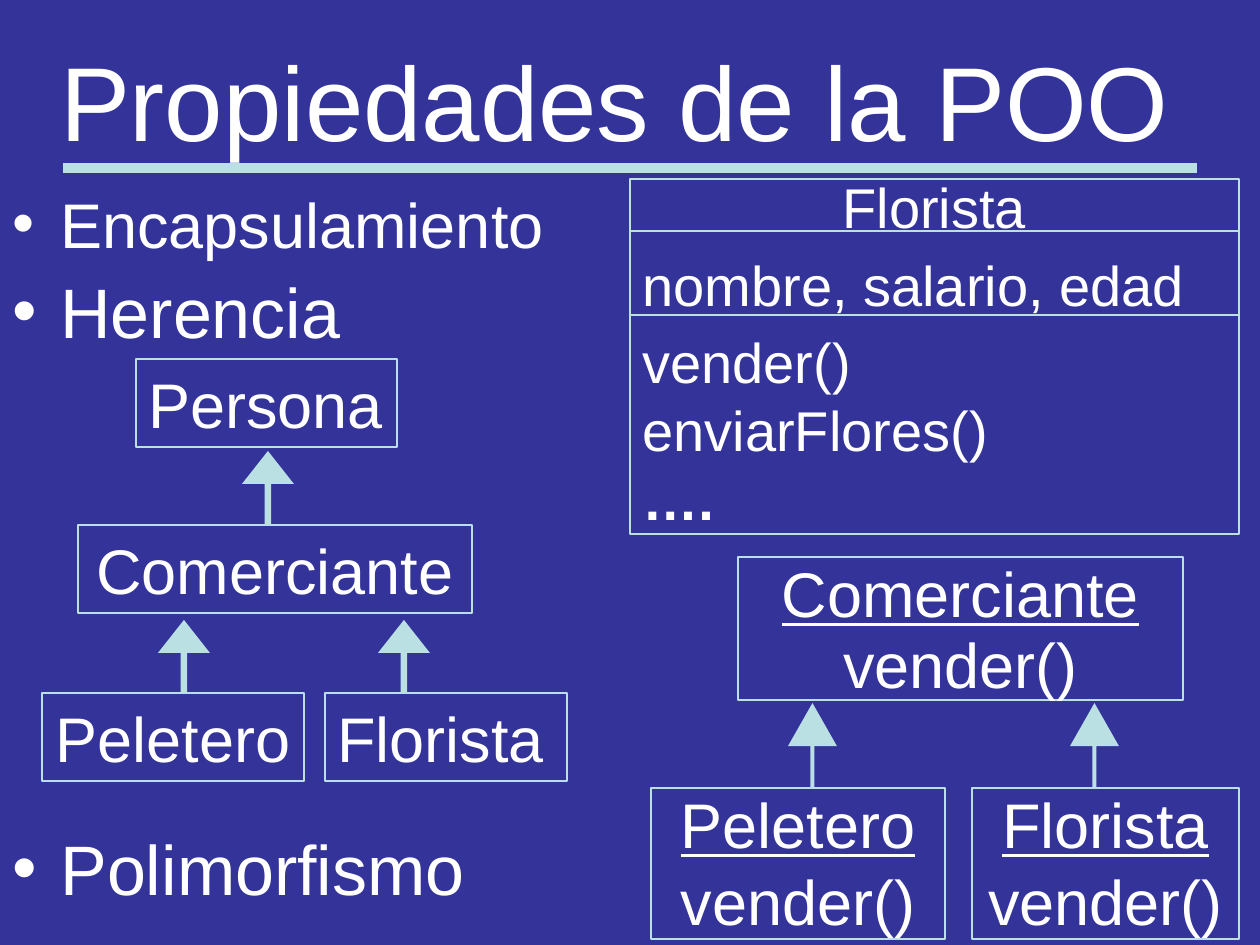
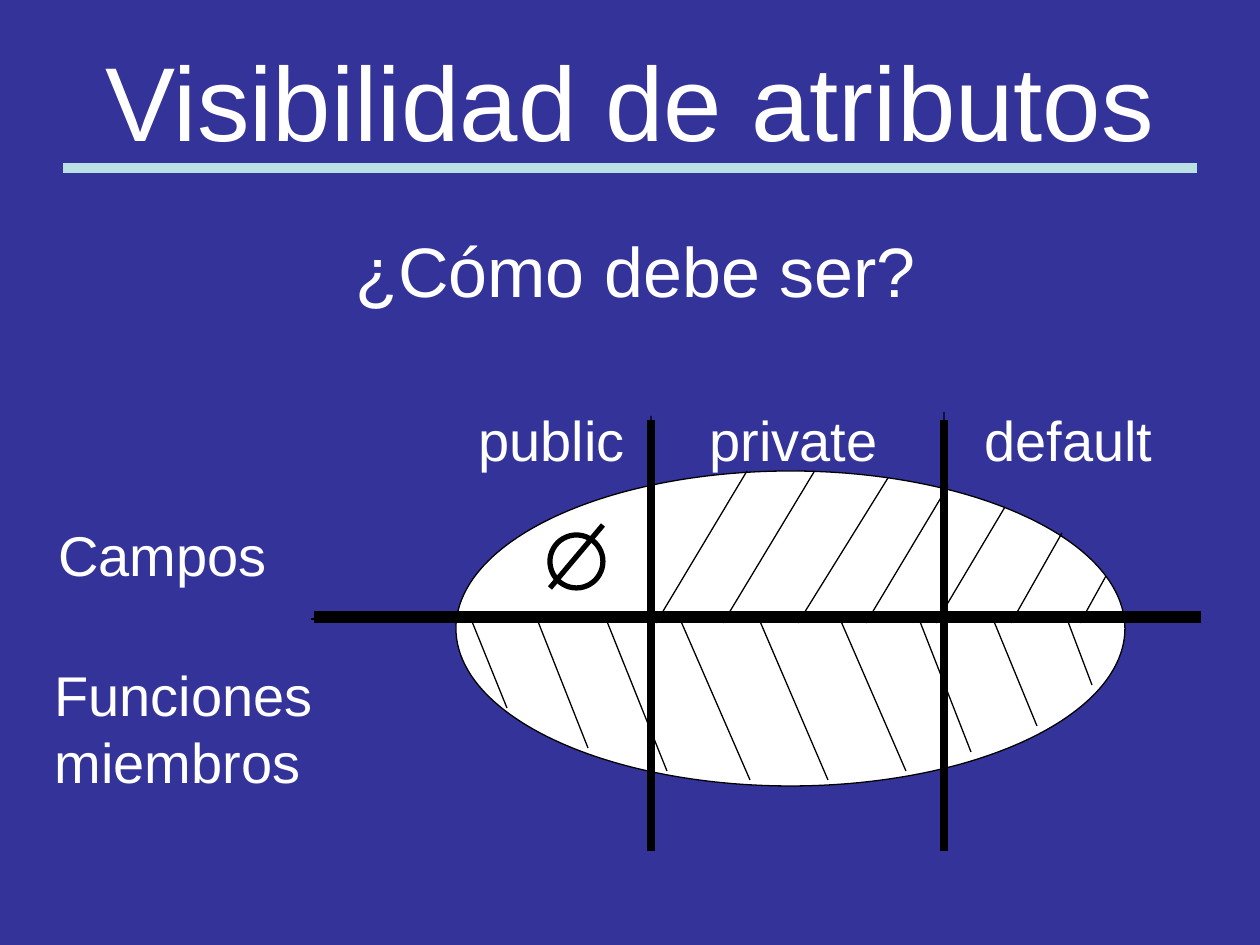
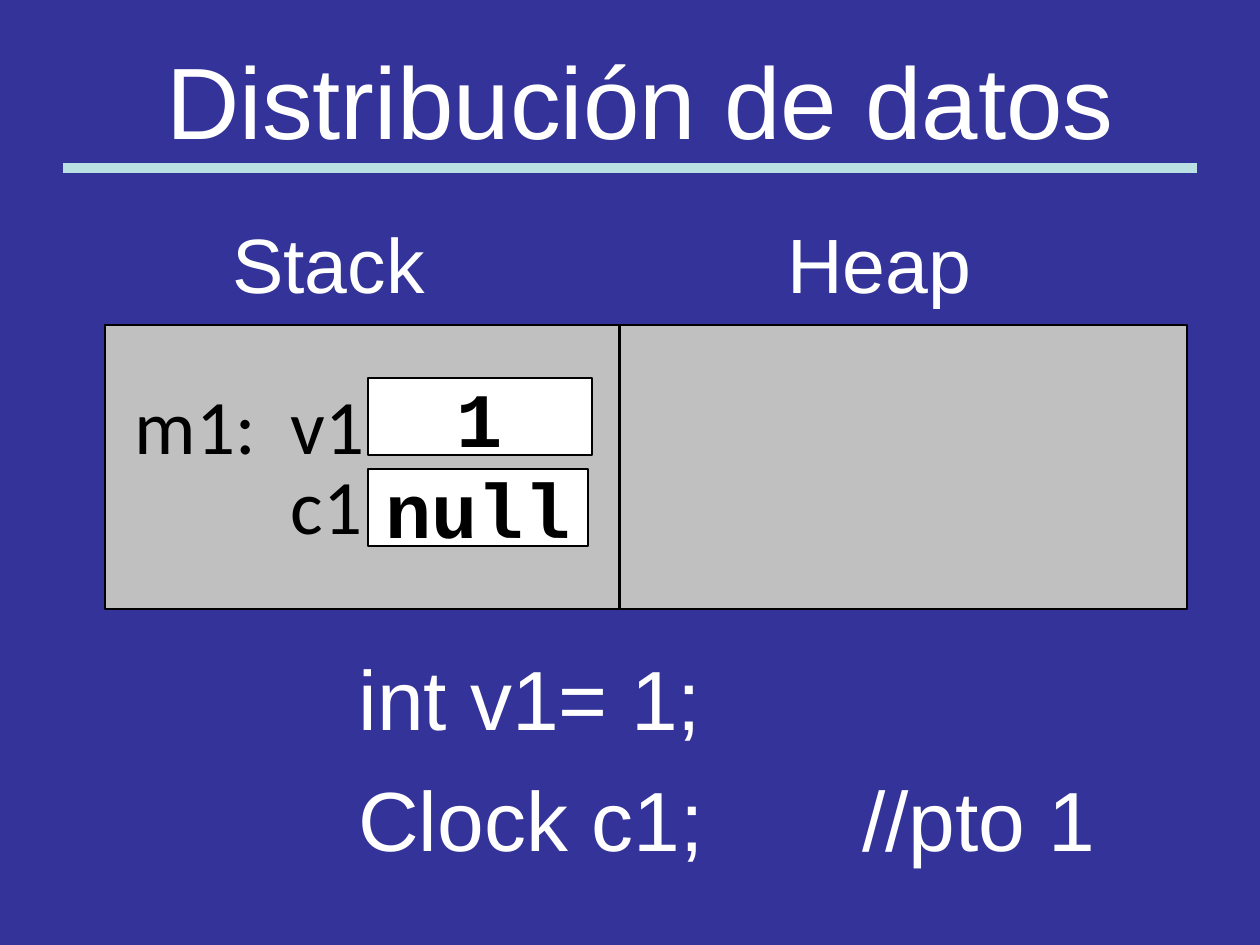
from lxml import etree
from pptx import Presentation
from pptx.dml.color import RGBColor
from pptx.enum.shapes import MSO_CONNECTOR, MSO_SHAPE
from pptx.enum.text import MSO_ANCHOR, MSO_AUTO_SIZE, PP_ALIGN
from pptx.oxml.ns import qn
from pptx.util import Emu, Pt

PX = 914400 / 126
LEFT, CENTER = PP_ALIGN.LEFT, PP_ALIGN.CENTER
COLORS = {"background": "333399", "accent": "BBE0E3", "white": "FFFFFF",
          "black": "000000", "gray": "C0C0C0"}

# Content: boxes are (left, top, width, height) in px
TITLES = [
    ("Propiedades de la POO", (16, 21, 1197, 158), 60, 1.0),
    ("Visibilidad de atributos", (63, 21, 1134, 158), 60, 1.0),
    ("Distribución de datos", (73, 55, 1134, 111), 58, 0.8),
]

PROPERTIES = [
    ("Encapsulamiento", (0, 179, 609, 105), 36),
    ("Herencia", (0, 262, 420, 94), 40),
    ("Polimorfismo", (0, 819, 538, 84), 40),
]
CLASS_BOX = (630, 179, 609, 355)
CLASS_DIVIDERS = [231, 315]
CLASS_LINES = [  # text, alignment, line spacing, space before, bold
    ("Florista", CENTER, 0.8, 0, False),
    ("nombre, salario, edad", LEFT, 0.6, 20, False),
    ("vender()", LEFT, 0.5, 24, False),
    ("enviarFlores()", LEFT, 0.5, 20, False),
    ("….", LEFT, 0.5, 20, True),
]
INHERITANCE = [
    ("Persona", (136, 359, 261, 88), LEFT),
    ("Comerciante", (78, 525, 394, 88), CENTER),
    ("Peletero", (42, 693, 262, 88), CENTER),
    ("Florista", (325, 693, 242, 88), LEFT),
]
POLYMORPHISM = [  # class, box, line spacing of the method
    ("Comerciante", (738, 557, 445, 143), 0.3),
    ("Peletero", (651, 788, 294, 151), 0.4),
    ("Florista", (972, 788, 267, 151), 0.4),
]
THICK_ARROW, THIN_ARROW = (0.125, 0.635), (0.083, 0.88)
ARROWS = [
    ((242, 451, 52, 74), THICK_ARROW),
    ((158, 620, 52, 73), THICK_ARROW),
    ((378, 620, 52, 73), THICK_ARROW),
    ((788, 703, 49, 85), THIN_ARROW),
    ((1070, 703, 49, 85), THIN_ARROW),
]

VISIBILITY_LABELS = [
    ("public", (466, 399, 189, 57)),
    ("private", (697, 399, 224, 67)),
    ("default", (972, 399, 224, 67)),
    ("Campos", (46, 514, 373, 58)),
    ("Funciones miembros", (42, 654, 390, 155)),
]
FIELD_HATCHES = [  # top x, top y, bottom x
    (747, 471, 656), (814, 472, 723), (888, 478, 798), (948, 486, 866),
    (1005, 507, 936), (1062, 533, 1011), (1106, 576, 1080),
]
METHOD_HATCHES = [  # top x, bottom x, bottom y
    (471, 507, 708), (537, 588, 748), (606, 667, 771), (680, 750, 780),
    (759, 828, 780), (840, 906, 771), (919, 971, 752), (993, 1037, 726),
    (1067, 1092, 685),
]
AXES = [  # start, end, width in points
    ((944, 412), (945, 823), 0.75),
    ((651, 416), (652, 827), 0.75),
    ((311, 619), (1197, 619), 0.75),
    ((651, 420), (651, 851), 4.5),
    ((944, 420), (944, 851), 4.5),
    ((314, 617), (1201, 617), 6.5),
]

MEMORY_AREAS = [(105, 325, 514, 284), (620, 325, 567, 284)]
VALUES = [("1", (368, 378, 224, 77)), ("null", (368, 469, 220, 77))]
CODE = ["int v1= 1;", "Clock c1;\t//pto 1"]


# Helpers
def px(value):
    return Emu(round(value * PX))


def color(name):
    return RGBColor.from_string(COLORS[name])


def add_line(slide, start, end, name, width):
    line = slide.shapes.add_connector(
        MSO_CONNECTOR.STRAIGHT, *map(px, (*start, *end)))
    line.line.color.rgb = color(name)
    line.line.width = Pt(width)
    etree.SubElement(line._element.spPr, qn("a:effectLst"))
    return line


def add_figure(slide, kind, box, fill=None, outline=None, width=0.75):
    shape = slide.shapes.add_shape(kind, *map(px, box))
    shape.shadow.inherit = False
    if fill:
        shape.fill.solid()
        shape.fill.fore_color.rgb = color(fill)
    else:
        shape.fill.background()
    if outline:
        shape.line.color.rgb = color(outline)
        shape.line.width = Pt(width)
    else:
        shape.line.fill.background()
    return shape


def prepare_frame(shape, anchor=MSO_ANCHOR.TOP):
    frame = shape.text_frame
    frame.word_wrap = True
    frame.auto_size = MSO_AUTO_SIZE.NONE
    frame.vertical_anchor = anchor
    return frame


def write(frame, text, size, name="white", font="Arial", align=LEFT, spacing=None,
          before=0, bold=False, underline=False, bullet=False, tab=None):
    paragraph = frame.paragraphs[0]
    if paragraph.text:
        paragraph = frame.add_paragraph()
    paragraph.text = text
    paragraph.alignment = align
    paragraph.space_before = Pt(before)
    if spacing:
        paragraph.line_spacing = spacing
    properties = paragraph._p.get_or_add_pPr()
    if bullet:
        properties.set("marL", str(px(48)))
        properties.set("indent", str(-px(48)))
        bullet_color = etree.SubElement(properties, qn("a:buClr"))
        etree.SubElement(bullet_color, qn("a:srgbClr"), val=COLORS[name])
        etree.SubElement(properties, qn("a:buFont"), typeface=font)
        etree.SubElement(properties, qn("a:buChar"), char="•")
    if tab:
        tabs = etree.SubElement(properties, qn("a:tabLst"))
        etree.SubElement(tabs, qn("a:tab"), pos=str(px(tab)), algn="l")
    style = paragraph.font
    style.name, style.size = font, Pt(size)
    style.bold, style.underline = bold, underline
    style.color.rgb = color(name)


def add_text(slide, box, text, size, **options):
    frame = prepare_frame(slide.shapes.add_textbox(*map(px, box)))
    write(frame, text, size, **options)
    return frame


def add_titled_slide(presentation, text, box, size, spacing):
    slide = presentation.slides.add_slide(presentation.slide_layouts[5])
    title = slide.shapes.title
    title.left, title.top, title.width, title.height = map(px, box)
    write(prepare_frame(title, MSO_ANCHOR.MIDDLE), text, size,
          align=CENTER, spacing=spacing)
    rule = add_line(slide, (63, 168), (1197, 168), "accent", 6)
    title._element.addprevious(rule._element)
    return slide


# Slides
def build_properties(slide):
    for text, box, size in PROPERTIES:
        add_text(slide, box, text, size, bullet=True)

    # Class card
    frame = prepare_frame(add_figure(slide, MSO_SHAPE.RECTANGLE, CLASS_BOX,
                                     outline="accent"))
    for text, align, spacing, before, bold in CLASS_LINES:
        write(frame, text, 32, align=align, spacing=spacing, before=before, bold=bold)
    left, _, width, _ = CLASS_BOX
    for y in CLASS_DIVIDERS:
        add_line(slide, (left, y), (left + width, y), "accent", 1)

    # Class trees
    for text, box, align in INHERITANCE:
        shape = add_figure(slide, MSO_SHAPE.RECTANGLE, box, outline="accent")
        write(prepare_frame(shape), text, 36, align=align)
    for text, box, spacing in POLYMORPHISM:
        shape = add_figure(slide, MSO_SHAPE.RECTANGLE, box, outline="accent")
        frame = prepare_frame(shape)
        write(frame, text, 36, align=CENTER, spacing=0.9, underline=True)
        write(frame, "vender()", 36, align=CENTER, spacing=spacing, before=22.5)
    for box, adjustments in ARROWS:
        arrow = add_figure(slide, MSO_SHAPE.UP_ARROW, box, fill="accent")
        arrow.adjustments[0], arrow.adjustments[1] = adjustments


def build_visibility(slide):
    add_text(slide, (336, 221, 599, 97), "¿Cómo debe ser?", 40, align=CENTER)
    add_figure(slide, MSO_SHAPE.OVAL, (456, 471, 669, 315), "white", "black")
    for text, box in VISIBILITY_LABELS:
        add_text(slide, box, text, 32)

    # Hatching and axes
    for top_x, top_y, bottom_x in FIELD_HATCHES:
        add_line(slide, (top_x, top_y), (bottom_x, 623), "black", 0.75)
    for top_x, bottom_x, bottom_y in METHOD_HATCHES:
        add_line(slide, (top_x, 619), (bottom_x, bottom_y), "black", 0.75)
    for start, end, width in AXES:
        add_line(slide, start, end, "black", width)

    # Empty set sign
    add_figure(slide, MSO_SHAPE.OVAL, (550, 535, 53, 53), outline="black", width=3)
    add_line(slide, (603, 525), (550, 588), "black", 3)


def build_memory(slide):
    add_text(slide, (220, 210, 829, 106), "Stack\tHeap", 44, tab=555)

    # Stack and heap
    stack, _ = [add_figure(slide, MSO_SHAPE.RECTANGLE, box, "gray", "black")
                for box in MEMORY_AREAS]
    frame = prepare_frame(stack)
    frame.margin_left = px(30)
    variable = {"size": 44, "name": "black", "font": "Calibri", "tab": 156}
    write(frame, "m1:\tv1", spacing=1.5, **variable)
    write(frame, "\tc1", spacing=Pt(35), before=11, **variable)
    for text, box in VALUES:
        cell = add_figure(slide, MSO_SHAPE.RECTANGLE, box, "white", "black")
        frame = prepare_frame(cell, MSO_ANCHOR.MIDDLE)
        frame.margin_left = frame.margin_right = 0
        frame.margin_top = frame.margin_bottom = 0
        write(frame, text, 44, name="black", font="Courier New", align=CENTER, bold=True)

    # Code
    frame = add_text(slide, (346, 640, 819, 236), CODE[0], 48)
    write(frame, CODE[1], 48, before=12, tab=504)


def main():
    presentation = Presentation()
    presentation.slide_width, presentation.slide_height = px(1260), px(945)
    background = presentation.slide_master.background.fill
    background.solid()
    background.fore_color.rgb = color("background")
    builders = [build_properties, build_visibility, build_memory]
    for title, build in zip(TITLES, builders):
        build(add_titled_slide(presentation, *title))
    presentation.save("out.pptx")


if __name__ == "__main__":
    main()
